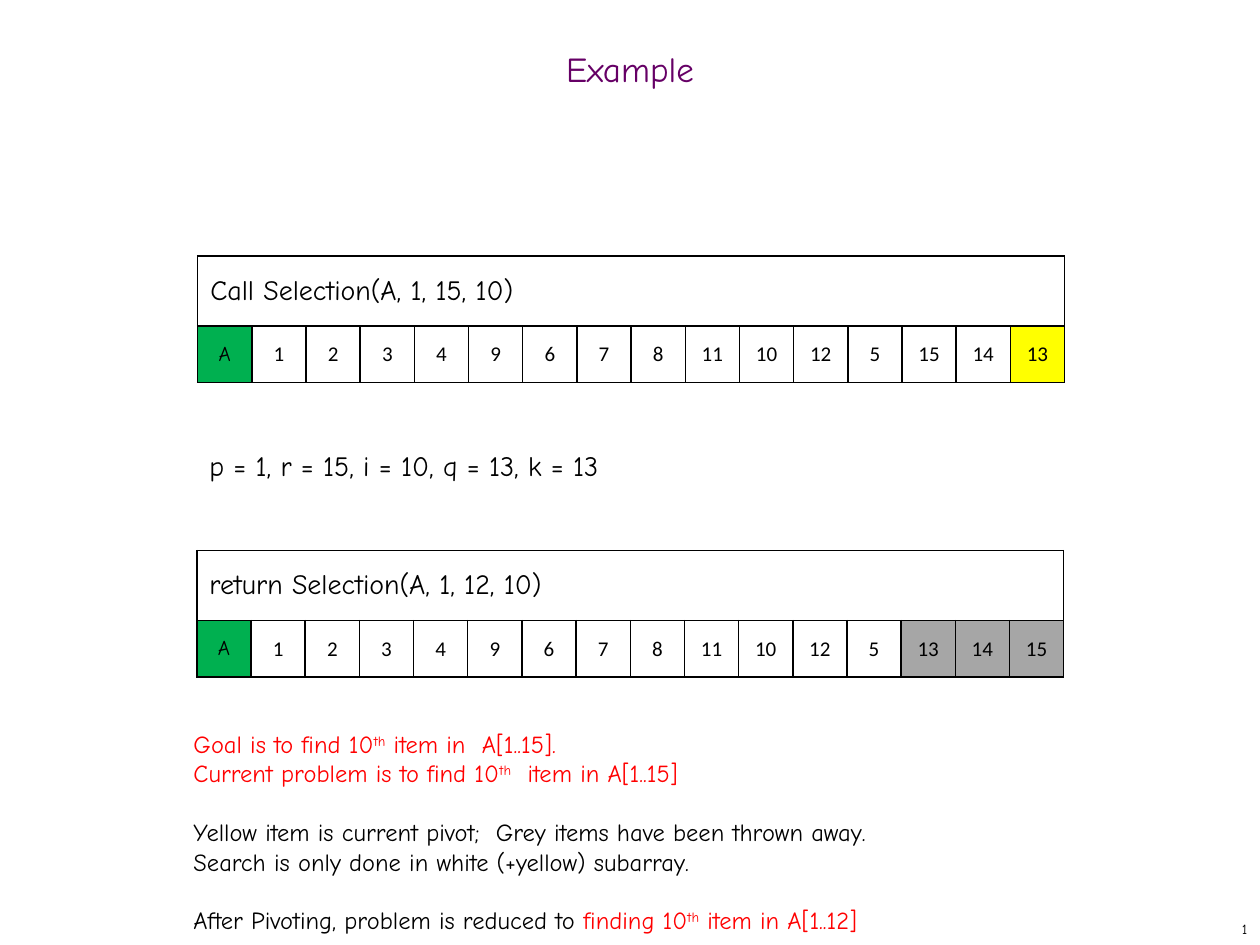
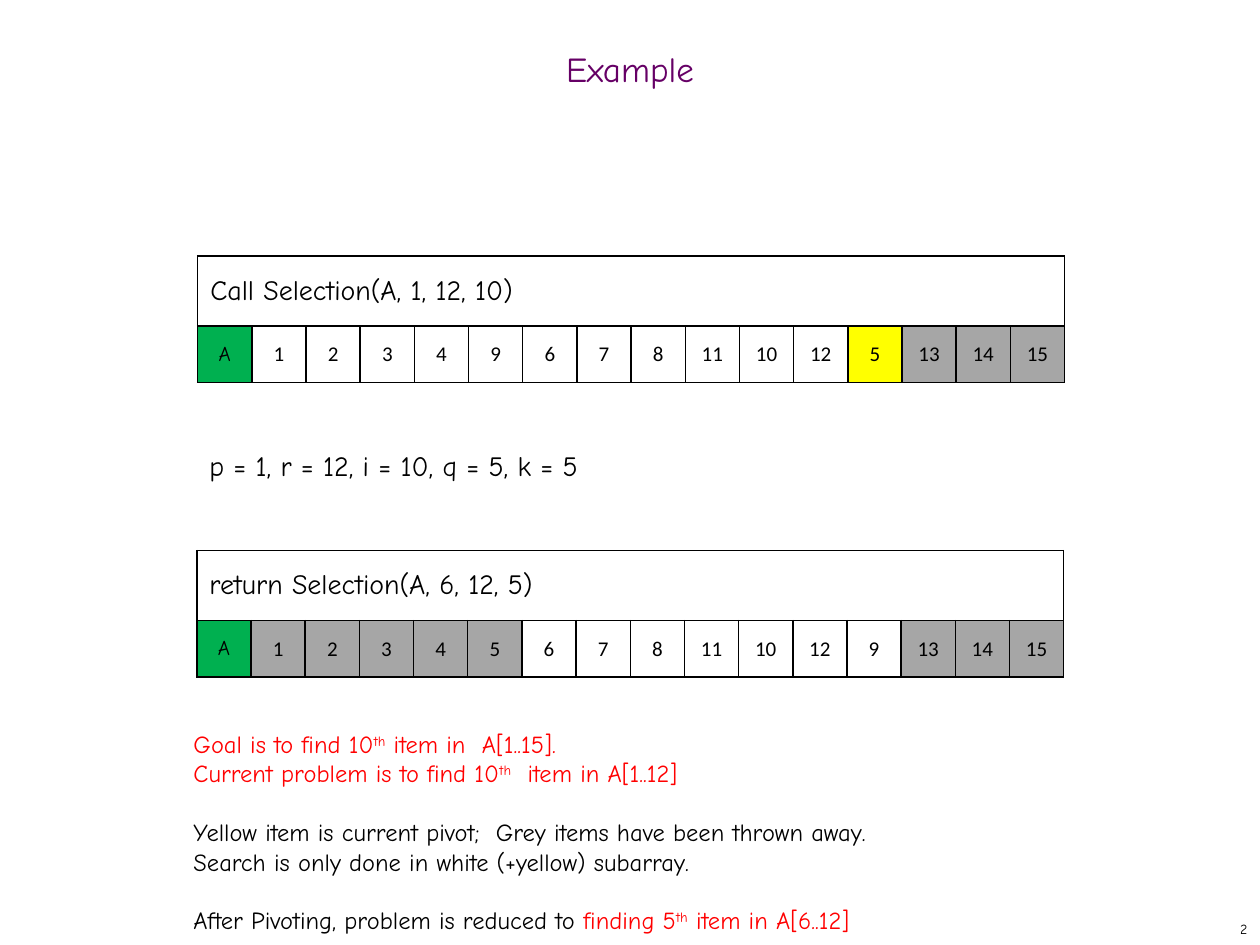
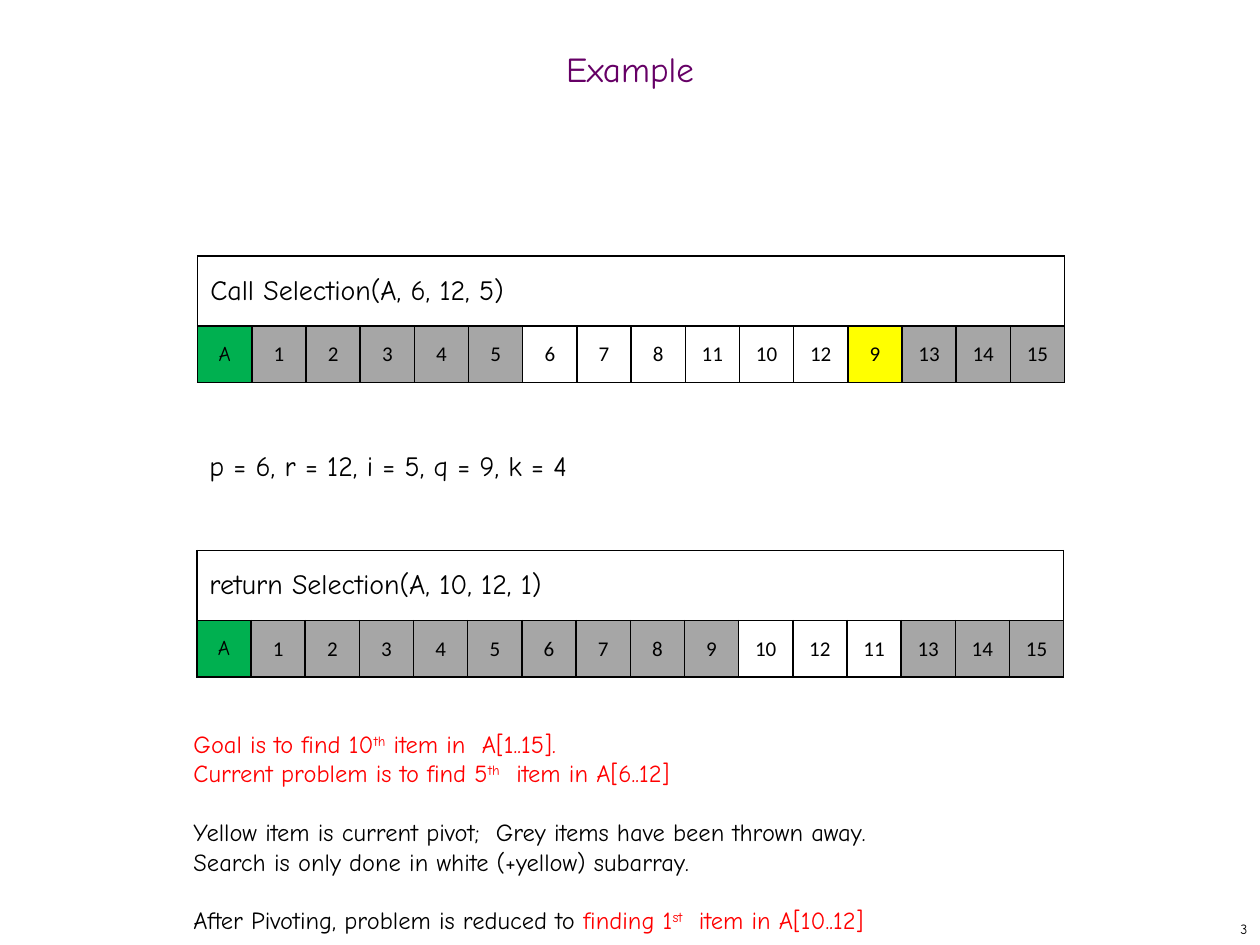
from lxml import etree
from pptx import Presentation
from pptx.dml.color import RGBColor
from pptx.enum.text import MSO_ANCHOR, MSO_AUTO_SIZE, PP_ALIGN
from pptx.oxml.ns import qn
from pptx.util import Pt

LEFT, MID, RIGHT = PP_ALIGN.LEFT, PP_ALIGN.CENTER, PP_ALIGN.RIGHT
TOP, CENTRE = MSO_ANCHOR.TOP, MSO_ANCHOR.MIDDLE
FIXED = MSO_AUTO_SIZE.NONE

BLACK = RGBColor(0x00, 0x00, 0x00)
PURPLE = RGBColor(0x66, 0x00, 0x66)
RED = RGBColor(0xFF, 0x00, 0x00)
GREEN = RGBColor(0x00, 0xB0, 0x50)
YELLOW = RGBColor(0xFF, 0xFF, 0x00)
GREY = RGBColor(0xA6, 0xA6, 0xA6)
HAND, PLAIN = "Comic Neue", "Calibri"

# Boxes: left, top, width, height
TITLE = (0, 24, 720, 36)
NUMBER = (570, 522, 150, 18)
CALL = (113, 146.2, 495.4, 72.4)
STATE = (112.5, 253, 254, 26.5)
RESULT = (112.5, 314.6, 495.4, 72.4)
NOTES = (103.5, 413, 562, 126)
HEAD = 40   # height of a table's heading row
LINE = 16.8  # one line of the notes

ITEMS = [1, 2, 3, 4, 9, 6, 7, 8, 11, 10, 12, 5, 15, 14, 13]


def write(para, text, size=14, font=HAND, color=BLACK, align=LEFT, sup=False):
    """Add one formatted run to a paragraph."""
    para.alignment = align
    run = para.add_run()
    run.text = text
    run.font.size = Pt(size)
    run.font.name = font
    run.font.color.rgb = color
    if sup:
        run.font._element.set("baseline", "30000")
    return run


def place(shape, box, anchor=TOP):
    """Move a text shape to a box and return its text frame."""
    shape.left, shape.top, shape.width, shape.height = map(Pt, box)
    frame = shape.text_frame
    frame.word_wrap = True
    frame.auto_size = FIXED
    frame.vertical_anchor = anchor
    return frame


def add_box(slide, box, anchor=TOP):
    return place(slide.shapes.add_textbox(0, 0, 0, 0), box, anchor)


def add_title(slide, box):
    para = place(slide.shapes.title, box, CENTRE).paragraphs[0]
    para.line_spacing = 0.7
    write(para, "Example", size=20, color=PURPLE, align=MID)


def add_number(slide, box, num):
    para = add_box(slide, box, CENTRE).paragraphs[0]
    run = write(para, str(num), size=8, align=RIGHT)._r
    # Turn the run into a slide number field
    field = etree.SubElement(para._p, qn("a:fld"), type="slidenum",
                             id="{B6F15528-21DE-4FAA-801E-634DDDAF4B2B}")
    field.extend(list(run))
    para._p.remove(run)


def style(cell, fill=None):
    """Give a cell black edges and a fill, or none."""
    props = cell._tc.get_or_add_tcPr()
    for side in ("lnL", "lnR", "lnT", "lnB"):
        edge = etree.SubElement(props, qn("a:" + side), w=str(Pt(1)))
        solid = etree.SubElement(edge, qn("a:solidFill"))
        etree.SubElement(solid, qn("a:srgbClr"), val=str(BLACK))
    cell.vertical_anchor = CENTRE
    if fill is None:
        cell.fill.background()
    else:
        cell.fill.solid()
        cell.fill.fore_color.rgb = fill


def add_array(slide, box, head, items, first, last, pivot=None):
    """Draw an array; items outside first..last are grey."""
    cols = len(items) + 1
    table = slide.shapes.add_table(2, cols, *map(Pt, box)).table
    table.first_row = table.horz_banding = False
    for col in table.columns:
        col.width = Pt(box[2] / cols)
    table.rows[0].height = Pt(HEAD)
    table.rows[1].height = Pt(box[3] - HEAD)

    # Heading across all columns
    for col in range(cols):
        style(table.cell(0, col))
    top = table.cell(0, 0)
    top.merge(table.cell(0, cols - 1))
    write(top.text_frame.paragraphs[0], head, size=16)

    # Name of the array, then its items
    name = table.cell(1, 0)
    style(name, GREEN)
    write(name.text_frame.paragraphs[0], "A", size=12, align=MID)
    for pos, item in enumerate(items, 1):
        cell = table.cell(1, pos)
        fill = None if first <= pos <= last else GREY
        style(cell, YELLOW if pos == pivot else fill)
        cell.margin_left = cell.margin_right = cell.margin_top = Pt(0.72)
        cell.margin_bottom = 0
        write(cell.text_frame.paragraphs[0], str(item), size=12, font=PLAIN,
              align=MID)


def add_state(slide, box, text):
    write(add_box(slide, box).paragraphs[0], text, size=16)


def add_notes(slide, box, now, then):
    """Explain the current call and the one that follows."""
    def rank(para, text, call, space):
        first, last, nth = call
        write(para, f"{text}{nth}", color=RED)
        write(para, "st" if nth == 1 else "th", color=RED, sup=True)
        write(para, f"{space}item in A[{first}..{last}]", color=RED)

    frame = add_box(slide, box)
    goal = frame.paragraphs[0]
    task, key, search, rest = [frame.add_paragraph() for _ in range(4)]
    key.space_before = rest.space_before = Pt(LINE)

    write(goal, "Goal is to find 10", color=RED)
    write(goal, "th", color=RED, sup=True)
    write(goal, " item in  A[1..15].", color=RED)
    rank(task, "Current problem is to find ", now, "  ")
    write(key, "Yellow item is current pivot;  "
               "Grey items have been thrown away.")
    write(search, "Search is only done in white (+yellow) subarray.")
    write(rest, "After Pivoting, problem is reduced to ")
    rank(rest, "finding ", then, "  " if then[2] == 1 else " ")


def split(items, call):
    """One step of selection: new items, q, k and the next call."""
    p, r, i = call
    q = items[r - 1]  # items are 1..n, so the pivot's value is its place
    k = q - p + 1
    done = items[:]
    done[q - 1], done[r - 1] = done[r - 1], done[q - 1]
    return done, q, k, (p, q - 1, i) if i < k else (q + 1, r, i - k)


def add_step(deck, num, items, call):
    """Build the slide of one step; return what the next one starts from."""
    p, r, i = call
    done, q, k, then = split(items, call)
    slide = deck.slides.add_slide(deck.slide_layouts[5])
    add_title(slide, TITLE)
    add_number(slide, NUMBER, num)
    add_array(slide, CALL, f"Call Selection(A, {p}, {r}, {i})",
              items, p, r, pivot=r)
    add_array(slide, RESULT, "return Selection(A, {}, {}, {})".format(*then),
              done, then[0], then[1])
    add_state(slide, STATE, f"p = {p}, r = {r}, i = {i}, q = {q}, k = {k}")
    add_notes(slide, NOTES, call, then)
    return done, then


deck = Presentation()
deck.slide_width, deck.slide_height = Pt(720), Pt(540)
items, call = ITEMS, (1, 15, 10)
for num in range(1, 4):
    items, call = add_step(deck, num, items, call)
deck.save("out.pptx")
